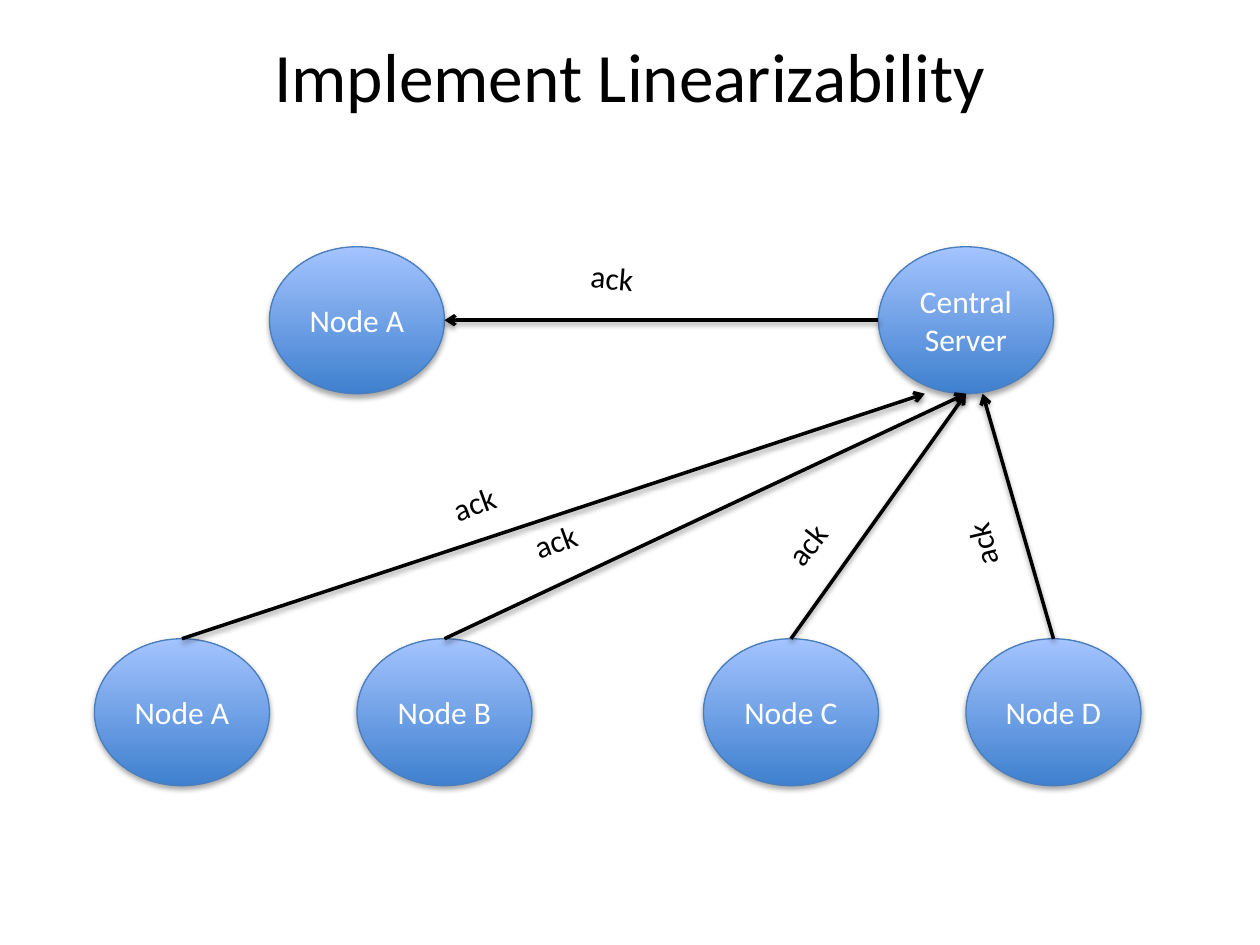
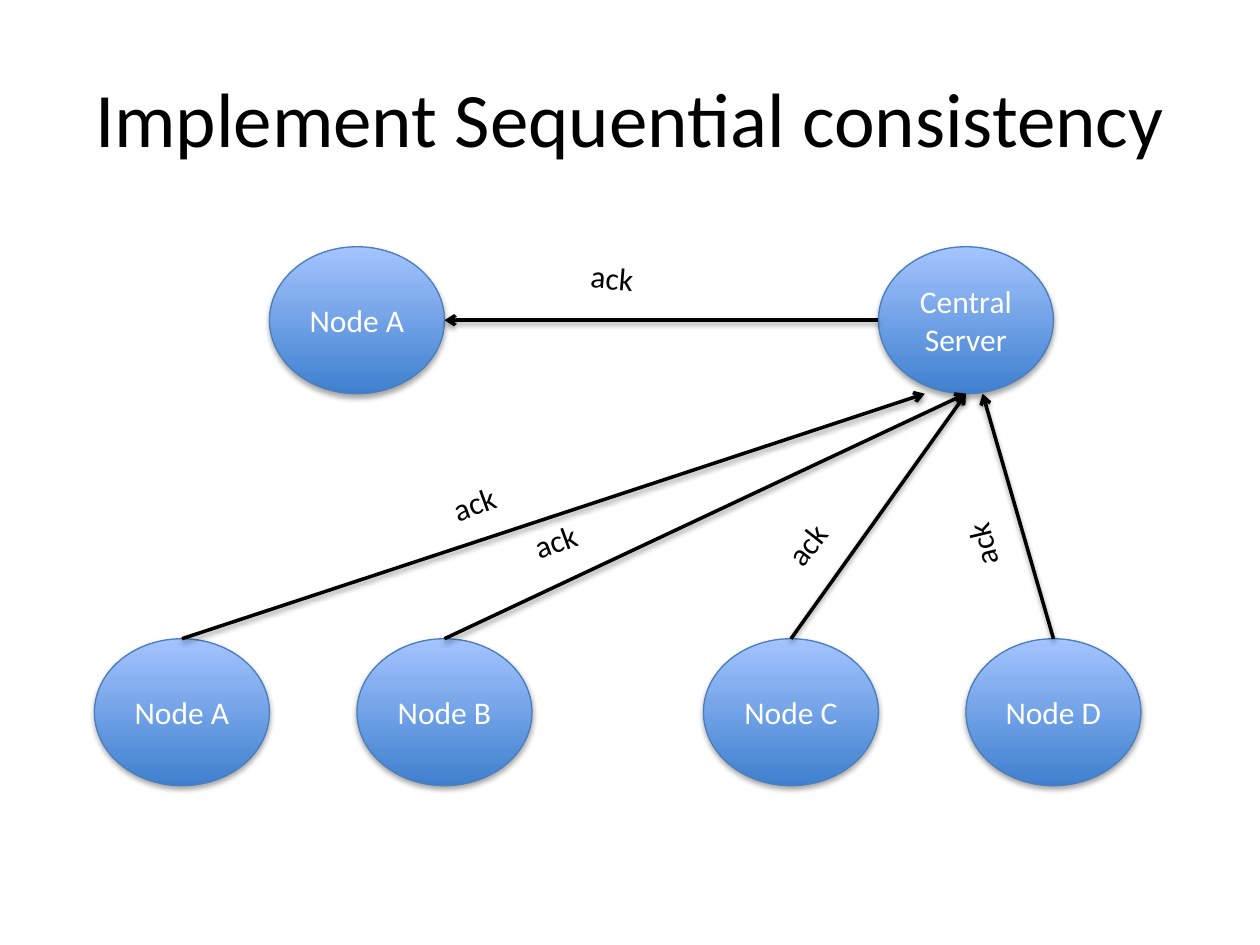
from lxml import etree
from pptx import Presentation
from pptx.dml.color import RGBColor
from pptx.enum import shapes, text
from pptx.oxml import ns
from pptx.util import Pt

FONT = "Calibri"
BLACK, WHITE = "000000", "FFFFFF"
NODE_BOTTOM, NODE_TOP, NODE_LINE = "3F80CE", "A4C4FF", "4B7EBC"

NODE_WIDTH, NODE_HEIGHT = 100, 84
UPPER_ROW, LOWER_ROW = 141, 365
UPPER_MIDDLE = UPPER_ROW + NODE_HEIGHT / 2
UPPER_BOTTOM = UPPER_ROW + NODE_HEIGHT
REPLY_LEFT, SERVER_LEFT = 154, 502
SERVER_CENTER = SERVER_LEFT + NODE_WIDTH / 2

# Name, left edge, and where its arrow meets the server
SENDERS = [
    ("Node A", 54, SERVER_CENTER - 23.5),
    ("Node B", 204, SERVER_CENTER),
    ("Node C", 402, SERVER_CENTER),
    ("Node D", 552, SERVER_CENTER + 9.5),
]
# Left, top and rotation of each "ack"
ACK_LABELS = [
    (251.5, 273, 340),
    (298, 294.5, 340),
    (541.5, 296.5, 256.6),
    (441.5, 296.5, 308.2),
    (330.5, 144, 4.7),
]
# Wording, size, top and height
TITLES = [
    ("Implement Linearizability", 39.6, 12.6, 60),
    ("Implement Sequential consistency", 44, 21.6, 90),
]


def color(value):
    return RGBColor.from_string(value)


def write(shape, words, size, ink, align=text.PP_ALIGN.CENTER):
    """Put one paragraph into the shape and format its run."""
    frame = shape.text_frame
    frame.text = words
    paragraph = frame.paragraphs[0]
    paragraph.alignment = align
    font = paragraph.runs[0].font
    font.name, font.size = FONT, Pt(size)
    font.color.rgb = color(ink)


def add_shadow(shape, distance, opacity):
    """Append a soft downward shadow; fill and line must already be set."""
    properties = shape._element.spPr
    effects = etree.SubElement(properties, ns.qn("a:effectLst"))
    shadow = etree.SubElement(
        effects, ns.qn("a:outerShdw"), blurRad=str(Pt(3.15)),
        dist=str(Pt(distance)), dir="5400000", rotWithShape="0")
    ink = etree.SubElement(shadow, ns.qn("a:srgbClr"), val=BLACK)
    etree.SubElement(ink, ns.qn("a:alpha"), val=str(opacity * 1000))


def add_title(slide, words, size, top, height):
    box = slide.shapes.add_textbox(Pt(36), Pt(top), Pt(648), Pt(height))
    box.text_frame.word_wrap = True
    box.text_frame.vertical_anchor = text.MSO_ANCHOR.MIDDLE
    write(box, words, size, BLACK)


def add_node(slide, name, left, top):
    node = slide.shapes.add_shape(
        shapes.MSO_SHAPE.OVAL, Pt(left), Pt(top), Pt(NODE_WIDTH), Pt(NODE_HEIGHT))
    node.fill.gradient()
    node.fill.gradient_angle = 90
    for stop, shade in zip(node.fill.gradient_stops, (NODE_BOTTOM, NODE_TOP)):
        stop.color.rgb = color(shade)
    node.line.color.rgb = color(NODE_LINE)
    node.line.width = Pt(0.75)
    add_shadow(node, 1.8, 35)
    node.text_frame.vertical_anchor = text.MSO_ANCHOR.MIDDLE
    write(node, name, 18, WHITE)
    return node


def add_arrow(slide, start, end):
    arrow = slide.shapes.add_connector(
        shapes.MSO_CONNECTOR.STRAIGHT, *(Pt(length) for length in (*start, *end)))
    arrow.line.color.rgb = color(BLACK)
    arrow.line.width = Pt(2)
    etree.SubElement(arrow.line._get_or_add_ln(), ns.qn("a:tailEnd"), type="arrow")
    add_shadow(arrow, 1.6, 38)
    return arrow


def add_ack(slide, left, top, rotation):
    label = slide.shapes.add_textbox(Pt(left), Pt(top), Pt(39), Pt(29))
    label.rotation = rotation
    label.text_frame.word_wrap = False
    label.text_frame.auto_size = text.MSO_AUTO_SIZE.SHAPE_TO_FIT_TEXT
    write(label, "ack", 18, BLACK, text.PP_ALIGN.LEFT)


def add_diagram(slide):
    """Draw the nodes, their messages to the server and its reply."""
    add_node(slide, "Node A", REPLY_LEFT, UPPER_ROW)
    add_node(slide, "Central Server", SERVER_LEFT, UPPER_ROW)
    senders = [add_node(slide, name, left, LOWER_ROW) for name, left, _ in SENDERS]
    add_arrow(slide, (SERVER_LEFT, UPPER_MIDDLE),
              (REPLY_LEFT + NODE_WIDTH, UPPER_MIDDLE))
    for sender, (_, left, target) in zip(senders, SENDERS):
        arrow = add_arrow(slide, (left + NODE_WIDTH / 2, LOWER_ROW),
                          (target, UPPER_BOTTOM))
        arrow.begin_connect(sender, 0)
    for label in ACK_LABELS:
        add_ack(slide, *label)


def main():
    presentation = Presentation()
    presentation.slide_width, presentation.slide_height = Pt(720), Pt(540)
    for title in TITLES:
        slide = presentation.slides.add_slide(presentation.slide_layouts[6])
        add_title(slide, *title)
        add_diagram(slide)
    presentation.save("out.pptx")


if __name__ == "__main__":
    main()
